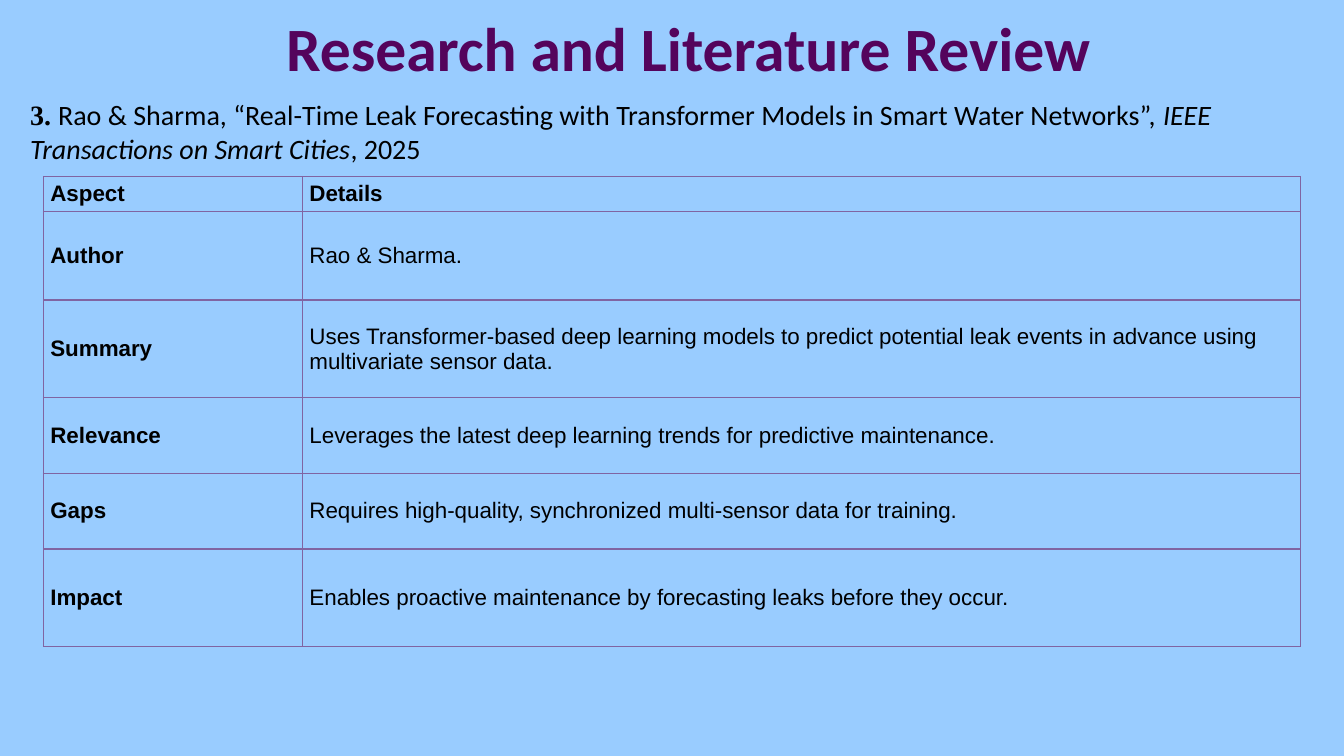
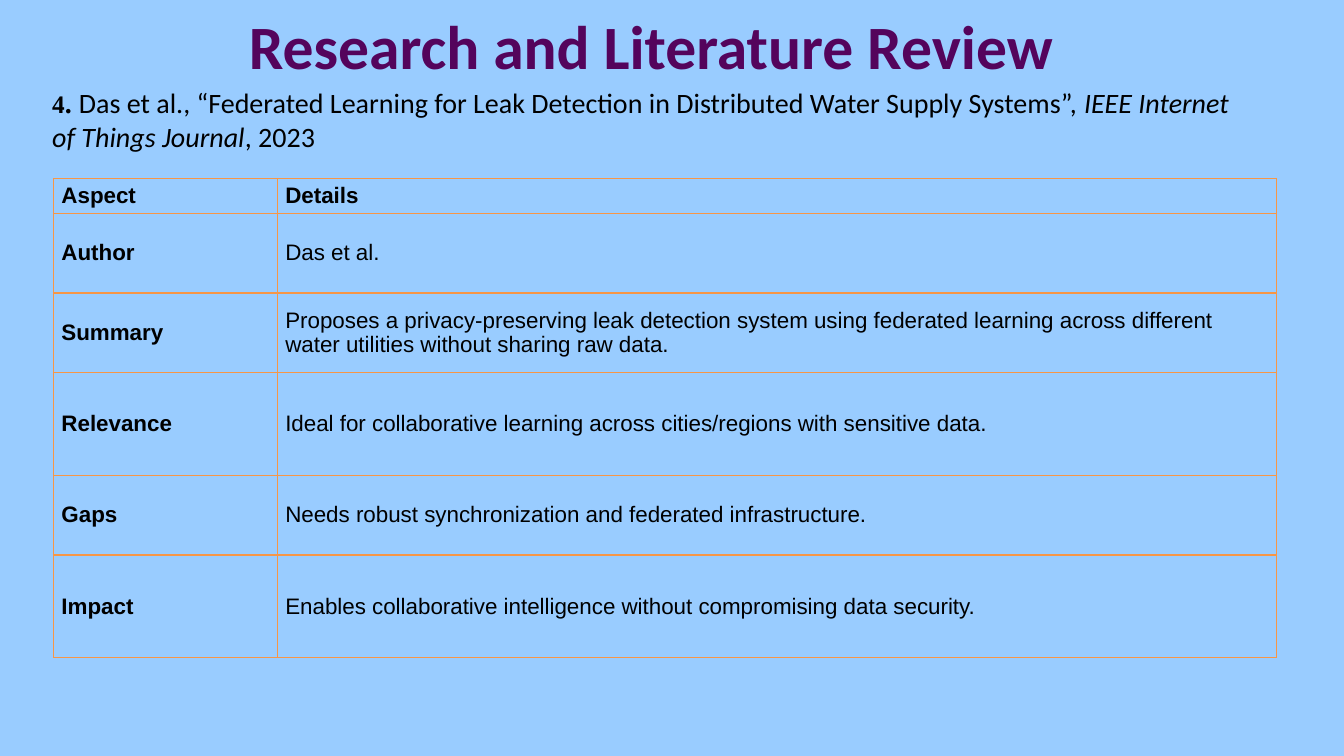
from dataclasses import dataclass

from lxml import etree
from pptx import Presentation
from pptx.dml.color import RGBColor
from pptx.enum import text
from pptx.oxml.ns import qn
from pptx.util import Inches, Pt


@dataclass(frozen=True)
class Theme:
    background: str = "99CCFF"
    title: str = "54045C"
    ink: str = "000000"
    heading_font: str = "Calibri"
    number_font: str = "Times New Roman"
    table_font: str = "Arial"
    title_size: int = 44
    citation_size: int = 20
    table_size: int = 16
    border_width: int = 1


THEME = Theme()
TITLE = "Research and Literature Review "
ASPECTS = ["Aspect", "Author", "Summary", "Relevance", "Gaps", "Impact"]

REVIEWS = [
    dict(
        title_at=(0.9, -0.16), citation_at=(0.2, 0.92), table_at=(0.43, 1.75),
        number="3", number_size=20,
        reference="Rao & Sharma, “Real-Time Leak Forecasting with Transformer Models"
                  " in Smart Water Networks”, ",
        journal="IEEE Transactions on Smart Cities", year=", 2025",
        border="8064A2", inset=0.07, widths=(2.57, 9.9),
        heights=(0.3, 0.88, 0.97, 0.75, 0.75, 0.97),
        details=[
            "Details",
            "Rao & Sharma.",
            "Uses Transformer-based deep learning models to predict potential leak"
            " events in advance using multivariate sensor data.",
            "Leverages the latest deep learning trends for predictive maintenance.",
            "Requires high-quality, synchronized multi-sensor data for training.",
            "Enables proactive maintenance by forecasting leaks before they occur.",
        ],
    ),
    dict(
        title_at=(0.53, -0.18), citation_at=(0.42, 0.8), table_at=(0.53, 1.77),
        number="4", number_size=18,
        reference="Das et al., “Federated Learning for Leak Detection in Distributed"
                  " Water Supply Systems”, ",
        journal="IEEE Internet of Things Journal", year=", 2023",
        border="F79646", inset=0.08, widths=(2.22, 9.91),
        heights=(0.31, 0.79, 0.79, 1.02, 0.79, 1.02),
        details=[
            "Details",
            "Das et al.",
            "Proposes a privacy-preserving leak detection system using federated"
            " learning across different water utilities without sharing raw data.",
            "Ideal for collaborative learning across cities/regions with sensitive data.",
            "Needs robust synchronization and federated infrastructure.",
            "Enables collaborative intelligence without compromising data security.",
        ],
    ),
]


def add_run(p, words, font, size, color=THEME.ink, bold=False, italic=False):
    r = p.add_run()
    r.text = words
    formats = dict(name=font, size=Pt(size), bold=bold, italic=italic)
    for name, value in formats.items():
        setattr(r.font, name, value)
    r.font.color.rgb = RGBColor.from_string(color)


def set_title(slide, at):
    sp = slide.shapes.title
    left, top = at
    box = dict(left=left, top=top, width=12, height=1.25)
    for name, value in box.items():
        setattr(sp, name, Inches(value))
    tf = sp.text_frame
    tf.vertical_anchor = text.MSO_ANCHOR.MIDDLE
    p = tf.paragraphs[0]
    p.alignment = text.PP_ALIGN.CENTER
    add_run(p, TITLE, THEME.heading_font, THEME.title_size, THEME.title, bold=True)


def add_citation(slide, review):
    left, top = review["citation_at"]
    sp = slide.shapes.add_textbox(Inches(left), Inches(top), Inches(12), Inches(0.8))
    tf = sp.text_frame
    tf.word_wrap = True
    p = tf.paragraphs[0]
    size = THEME.citation_size
    add_run(p, review["number"], THEME.number_font, review["number_size"], bold=True)
    add_run(p, ". ", THEME.number_font, size, bold=True)
    for key in ("reference", "journal", "year"):
        add_run(p, review[key], THEME.heading_font, size, italic=key == "journal")


def set_borders(cell, color):
    tc_pr = cell._tc.get_or_add_tcPr()
    for i, side in enumerate(("lnL", "lnR", "lnT", "lnB")):
        line = etree.Element(qn(f"a:{side}"), w=str(Pt(THEME.border_width)))
        fill = etree.SubElement(line, qn("a:solidFill"))
        etree.SubElement(fill, qn("a:srgbClr"), val=color)
        tc_pr.insert(i, line)


def fill_cell(cell, words, bold, inset, border):
    formats = dict(
        margin_left=Inches(inset), margin_right=Inches(inset),
        margin_top=Inches(0.04), margin_bottom=Inches(0.04),
        vertical_anchor=text.MSO_ANCHOR.MIDDLE,
    )
    for name, value in formats.items():
        setattr(cell, name, value)
    cell.fill.background()
    set_borders(cell, border)
    p = cell.text_frame.paragraphs[0]
    add_run(p, words, THEME.table_font, THEME.table_size, bold=bold)


def add_review_table(slide, review):
    widths, heights = review["widths"], review["heights"]
    left, top = review["table_at"]
    table = slide.shapes.add_table(
        len(heights), len(widths), Inches(left), Inches(top),
        Inches(sum(widths)), Inches(sum(heights))).table
    table.horz_banding = False
    for column, width in zip(table.columns, widths):
        column.width = Inches(width)
    for row, height in zip(table.rows, heights):
        row.height = Inches(height)
    for i, pair in enumerate(zip(ASPECTS, review["details"])):
        for j, words in enumerate(pair):
            bold = i == 0 or j == 0
            fill_cell(table.cell(i, j), words, bold, review["inset"], review["border"])


def main():
    prs = Presentation()
    prs.slide_width, prs.slide_height = Inches(13.33), Inches(7.5)
    fill = prs.slide_master.background.fill
    fill.solid()
    fill.fore_color.rgb = RGBColor.from_string(THEME.background)
    title_only = prs.slide_layouts.get_by_name("Title Only")
    for review in REVIEWS:
        slide = prs.slides.add_slide(title_only)
        set_title(slide, review["title_at"])
        add_citation(slide, review)
        add_review_table(slide, review)
    prs.save("out.pptx")


if __name__ == "__main__":
    main()
